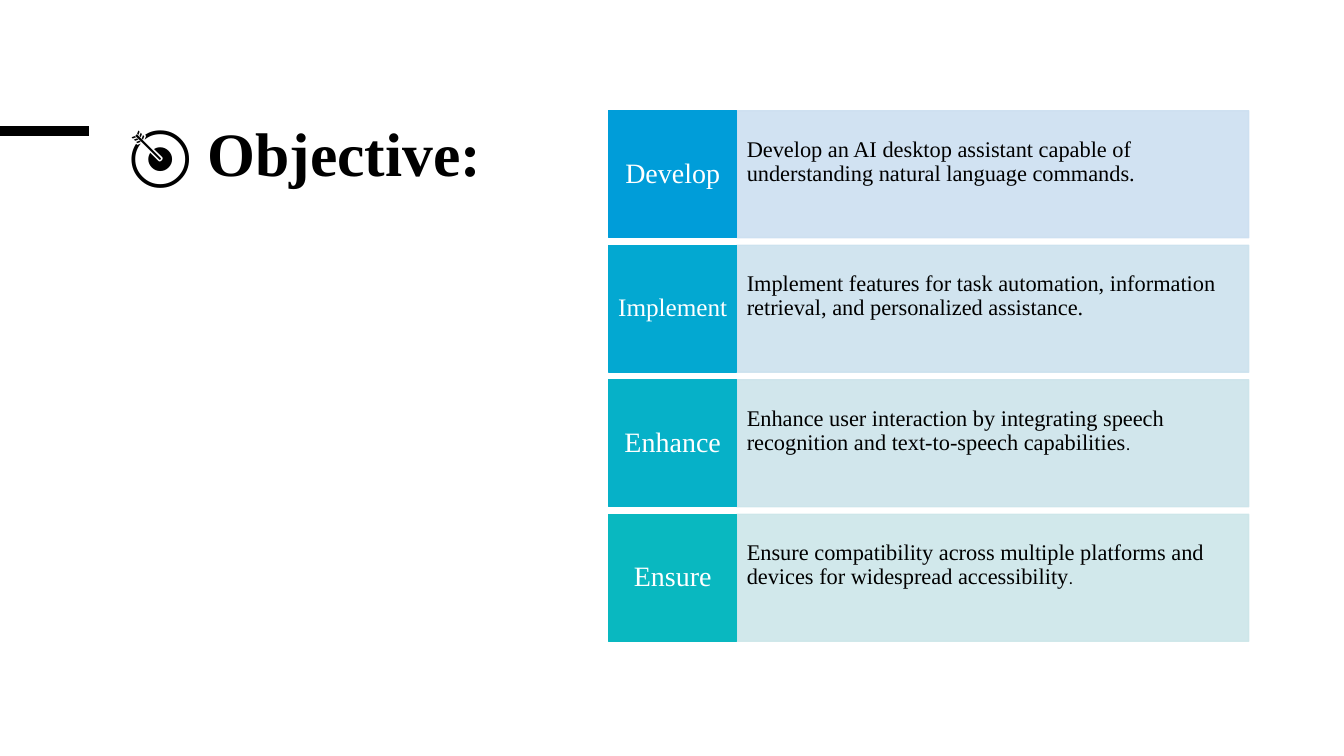
from pptx import Presentation
from pptx.dml.color import RGBColor
from pptx.enum.shapes import MSO_CONNECTOR, MSO_SHAPE
from pptx.enum.text import MSO_ANCHOR, MSO_AUTO_SIZE, PP_ALIGN
from pptx.oxml.ns import qn
from pptx.util import Cm, Pt
from lxml.etree import SubElement

FONT = "Times New Roman"
INK = {
    "black": "000000", "white": "FFFFFF",
    "Develop": ("009DD9", "CCDFF1"),
    "Implement": ("03A8D1", "CCE2EE"),
    "Enhance": ("06B1C8", "CCE4EB"),
    "Ensure": ("09B8C0", "CCE6E9"),
}
GOALS = [
    ("Develop", 20, "Develop an AI desktop assistant capable of understanding "
     "natural language commands", ".", 16, FONT),
    ("Implement", 18, "Implement features for task automation, information "
     "retrieval, and personalized assistance", ".", 16, FONT),
    ("Enhance", 20, "Enhance user interaction by integrating speech recognition "
     "and text-to-speech capabilities", ".", 13, "Roboto"),
    ("Ensure", 20, "Ensure compatibility across multiple platforms and devices "
     "for widespread accessibility", ".", 13, "Roboto"),
]
TOP, STEP, HIGH = 2.79, 3.39, 3.2
LEFT, SIDE, WIDE = 15.34, 3.23, 12.9


def style(font, size, ink, face=FONT):
    font.name, font.size = face, Pt(size)
    font.color.rgb = RGBColor.from_string(ink)


def fade(shape):
    for tint in shape._element.spPr.iter(qn("a:srgbClr")):
        SubElement(tint, qn("a:alpha"), val="90000")


def add_box(slide, left, top, wide, ink, pads):
    box = slide.shapes.add_shape(
        MSO_SHAPE.RECTANGLE, Cm(left), Cm(top), Cm(wide), Cm(HIGH))
    box.shadow.inherit = False
    box.fill.solid()
    box.fill.fore_color.rgb = RGBColor.from_string(ink)
    box.line.color.rgb = RGBColor.from_string(ink)
    box.line.width = Pt(1)
    frame = box.text_frame
    frame.word_wrap = True
    frame.vertical_anchor = MSO_ANCHOR.MIDDLE
    side, head, foot = pads
    frame.margin_left = frame.margin_right = Cm(side)
    frame.margin_top, frame.margin_bottom = Cm(head), Cm(foot)
    frame.paragraphs[0].line_spacing = 0.9
    return box


def add_goal(slide, top, goal):
    name, size, text, stop, dot, face = goal
    dark, pale = INK[name]
    note = add_box(slide, LEFT + SIDE, top, WIDE, pale, (0.25, 0.2, 0.81))
    fade(note)
    para = note.text_frame.paragraphs[0]
    para.alignment = PP_ALIGN.LEFT
    if face == FONT:
        para.text = text + stop
        style(para.font, dot, INK["black"])
    else:
        for part, pt, kind in ((text, 16, FONT), (stop, dot, face)):
            run = para.add_run()
            run.text = part
            style(run.font, pt, INK["black"], kind)
    label = add_box(slide, LEFT, top, SIDE, dark, (0.18, 0.3, 0.3))
    para = label.text_frame.paragraphs[0]
    para.text = name
    para.alignment = PP_ALIGN.CENTER
    style(para.font, size, INK["white"])


def add_title(slide, text):
    title = slide.shapes.title
    title.left, title.top = Cm(3.02), Cm(3.02)
    title.width, title.height = Cm(10.46), Cm(1.93)
    frame = title.text_frame
    frame.text = text
    frame.auto_size = MSO_AUTO_SIZE.NONE
    frame.vertical_anchor = MSO_ANCHOR.MIDDLE
    para = frame.paragraphs[0]
    para.alignment = PP_ALIGN.LEFT
    para.line_spacing = 0.85
    para.font.bold = True
    style(para.font, 44, INK["black"])


def add_rule(slide):
    rule = slide.shapes.add_connector(
        MSO_CONNECTOR.STRAIGHT, Cm(0), Cm(3.3), Cm(2.24), Cm(3.3))
    rule.line.color.rgb = RGBColor.from_string(INK["black"])
    rule.line.width = Pt(6.75)
    SubElement(rule._element.spPr, qn("a:effectLst"))


def main():
    """Build the objective slide and save it."""
    deck = Presentation()
    deck.slide_width, deck.slide_height = Cm(33.87), Cm(19.05)
    slide = deck.slides.add_slide(deck.slide_layouts[5])
    add_title(slide, "🎯 Objective:")
    add_rule(slide)
    for row, goal in enumerate(GOALS):
        add_goal(slide, TOP + row * STEP, goal)
    deck.save("out.pptx")


if __name__ == "__main__":
    main()
